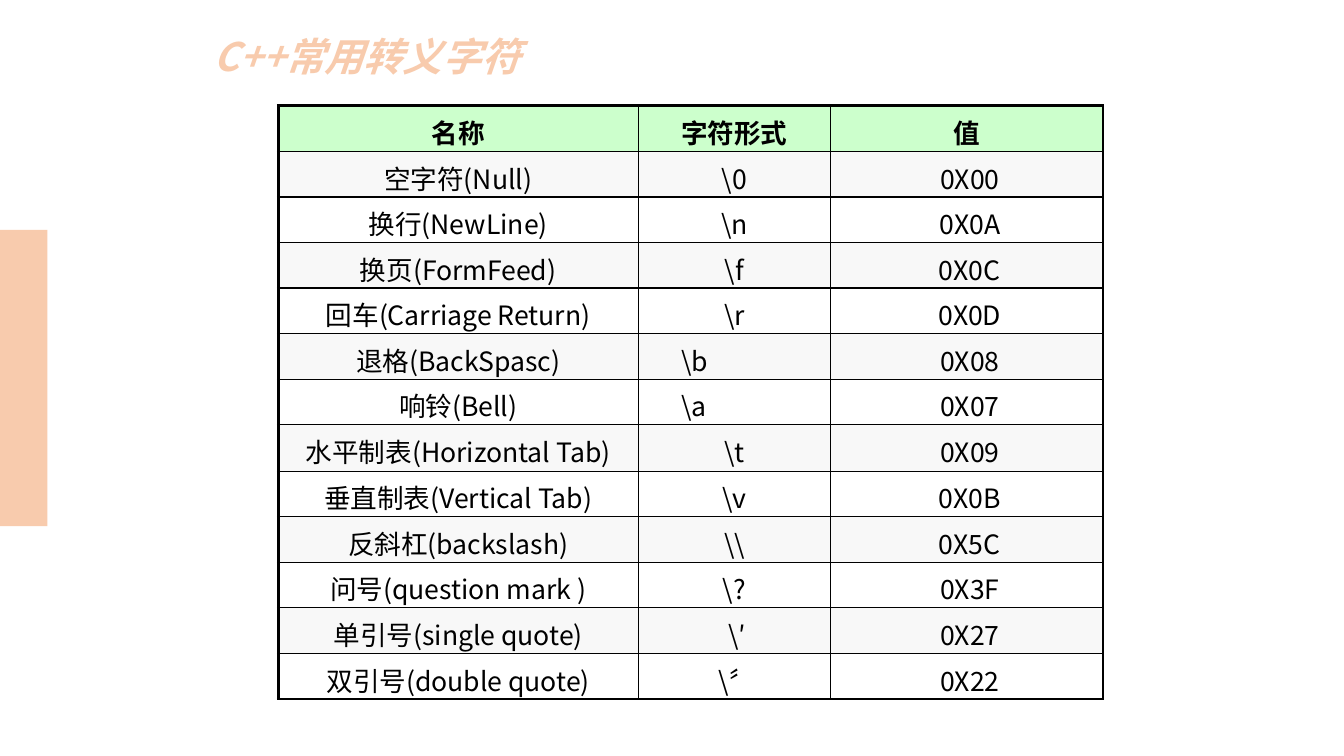
import pptx
import pptx.dml.color
import pptx.enum.shapes
import pptx.enum.text
import pptx.oxml.ns
import pptx.util
from lxml import etree

Inches = pptx.util.Inches
Pt = pptx.util.Pt
RGBColor = pptx.dml.color.RGBColor
ALIGN = pptx.enum.text.PP_ALIGN
qn = pptx.oxml.ns.qn

PEACH = RGBColor(0xF8, 0xCB, 0xAD)
MINT = RGBColor(0xCC, 0xFF, 0xCC)
PALE_GREY = RGBColor(0xF8, 0xF8, 0xF8)
BLACK = RGBColor(0, 0, 0)
FONT = "Noto Sans CJK SC"
OUTER, INNER = 2.25, 1

HEADINGS = ("名称", "字符形式", "值")
ESCAPES = [
    ("空字符(Null)", "\\0", "0X00"),
    ("换行(NewLine)", "\\n", "0X0A"),
    ("换页(FormFeed)", "\\f", "0X0C"),
    ("回车(Carriage Return)", "\\r", "0X0D"),
    ("退格(BackSpasc)", "\\b", "0X08"),
    ("响铃(Bell)", "\\a", "0X07"),
    ("水平制表(Horizontal Tab)", "\\t", "0X09"),
    ("垂直制表(Vertical Tab)", "\\v", "0X0B"),
    ("反斜杠(backslash)", "\\\\", "0X5C"),
    ("问号(question mark )", "\\?", "0X3F"),
    ("单引号(single quote)", " \\′", "0X27"),
    ("双引号(double quote)", " \\〞", "0X22"),
]
LEFT_ALIGNED = ("\\b", "\\a")
TALL_ROW = 7


class SlideBuilder:
    def __init__(self, deck):
        self.page = deck.slides.add_slide(deck.slide_layouts[5])

    def style(self, para, size, color, bold, italic=False, align=ALIGN.CENTER):
        para.alignment = align
        font = para.font
        font.name, font.size = FONT, Pt(size)
        font.bold, font.italic = bold, italic
        font.color.rgb = color
        defaults = para._p.pPr.find(qn("a:defRPr"))
        etree.SubElement(defaults, qn("a:ea"), typeface=FONT)

    def title(self, text, left, top, width, height):
        box = self.page.shapes.title
        box.left, box.top = Inches(left), Inches(top)
        box.width, box.height = Inches(width), Inches(height)
        frame = box.text_frame
        frame.text = text
        frame.word_wrap = False
        frame.vertical_anchor = pptx.enum.text.MSO_ANCHOR.MIDDLE
        frame.margin_left = frame.margin_right = 0
        frame.margin_top = frame.margin_bottom = 0
        self.style(frame.paragraphs[0], 28, PEACH, True, True)

    def bar(self, left, top, width, height):
        bar = self.page.shapes.add_shape(
            pptx.enum.shapes.MSO_SHAPE.RECTANGLE,
            Inches(left), Inches(top), Inches(width), Inches(height))
        bar.shadow.inherit = False
        bar.fill.solid()
        bar.fill.fore_color.rgb = PEACH
        bar.line.fill.background()

    def borders(self, cell, widths):
        properties = cell._tc.get_or_add_tcPr()
        for side, width in widths.items():
            line = etree.SubElement(properties, qn("a:ln" + side), w=str(Pt(width)))
            fill = etree.SubElement(line, qn("a:solidFill"))
            etree.SubElement(fill, qn("a:srgbClr"), val=str(BLACK))

    def cell(self, cell, text, fill, bold, align):
        cell.margin_left = cell.margin_right = Inches(0.13)
        cell.margin_top, cell.margin_bottom = Inches(0.07), 0
        if align == ALIGN.LEFT:
            cell.margin_left = Inches(0.43)
        if fill is None:
            cell.fill.background()
        else:
            cell.fill.solid()
            cell.fill.fore_color.rgb = fill
        cell.text = text
        self.style(cell.text_frame.paragraphs[0], 19, BLACK, bold, align=align)

    def table(self, left, top, columns, heights, rows):
        table = self.page.shapes.add_table(
            len(rows), len(columns), Inches(left), Inches(top),
            Inches(sum(columns)), Inches(sum(heights))).table
        table.first_row = table.horz_banding = False
        for column, width in zip(table.columns, columns):
            column.width = Inches(width)
        for row, height in zip(table.rows, heights):
            row.height = Inches(height)
        last_row, last_column = len(rows) - 1, len(columns) - 1
        for r, texts in enumerate(rows):
            fill = MINT if r == 0 else PALE_GREY if r % 2 else None
            for c, text in enumerate(texts):
                cell = table.cell(r, c)
                self.borders(cell, {
                    "L": OUTER if c == 0 else INNER,
                    "R": OUTER if c == last_column else INNER,
                    "T": OUTER if r == 0 else INNER,
                    "B": OUTER if r == last_row else INNER,
                })
                align = ALIGN.LEFT if text in LEFT_ALIGNED else ALIGN.CENTER
                shown = " " + text if r and c == last_column else text
                self.cell(cell, shown, fill, r == 0, align)


def main():
    deck = pptx.Presentation()
    deck.slide_width, deck.slide_height = Inches(13.33), Inches(7.5)
    builder = SlideBuilder(deck)
    builder.bar(0, 2.28, 0.47, 2.94)
    rows = [HEADINGS] + ESCAPES
    heights = [0.46 if r == TALL_ROW else 0.45 for r in range(len(rows))]
    builder.table(2.76, 1.05, (3.57, 1.91, 2.7), heights, rows)
    builder.title("C++常用转义字符", 1.8, 0.27, 3.68, 0.57)
    deck.save("out.pptx")


if __name__ == "__main__":
    main()
